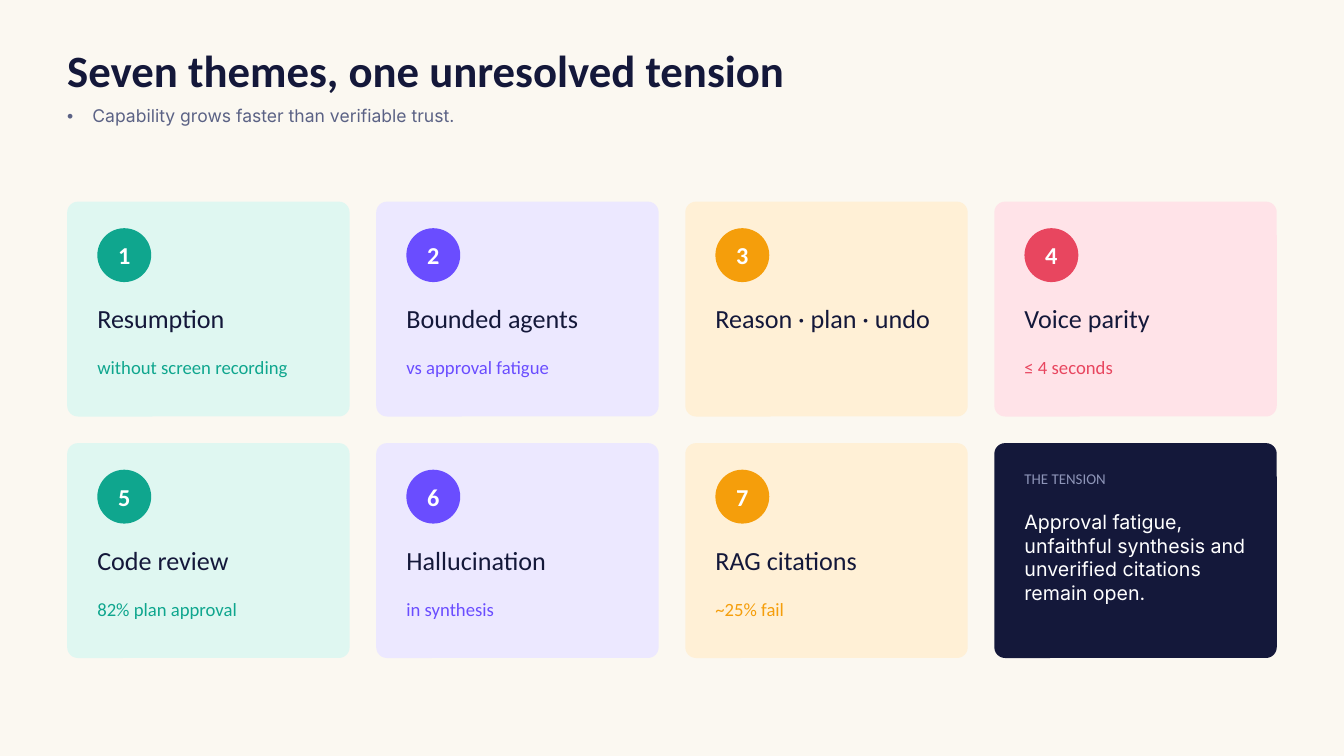
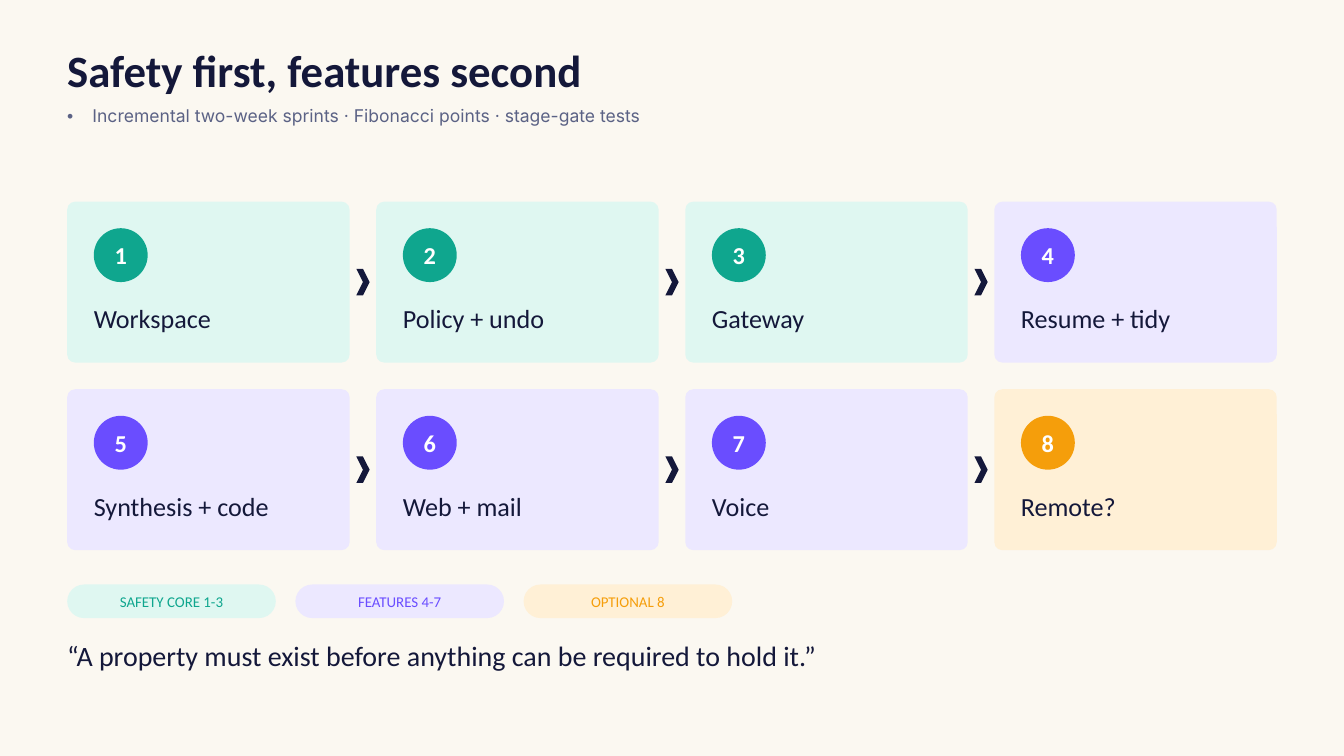
import pptx
import pptx.dml.color
import pptx.enum.shapes
import pptx.enum.text
import pptx.oxml.ns
import pptx.util
from lxml import etree

PX = 9525
SHAPE = pptx.enum.shapes.MSO_SHAPE
ALIGN = pptx.enum.text.PP_ALIGN
ANCHOR = pptx.enum.text.MSO_ANCHOR

PAPER, INK, MUTED, FAINT, WHITE = "FBF8F1", "14183A", "5B6285", "8E95B8", "FFFFFF"
# (strong colour, pale tint)
TEAL = ("0FA68E", "DFF7F1")
VIOLET = ("6A4DFF", "ECE8FF")
AMBER = ("F59E0B", "FFF0D6")
ROSE = ("E8465F", "FFE3E8")

LEFT, CONTENT_WIDTH = 96, 1728
GRID_TOP, GAP, COLUMNS = 288, 38, 4
CARD_WIDTH = (CONTENT_WIDTH - (COLUMNS - 1) * GAP) / COLUMNS
BADGE = 77

THEMES = [
    ("Resumption", "without screen recording", TEAL),
    ("Bounded agents", "vs approval fatigue", VIOLET),
    ("Reason · plan · undo", "", AMBER),
    ("Voice parity", "≤ 4 seconds", ROSE),
    ("Code review", "82% plan approval", TEAL),
    ("Hallucination", "in synthesis", VIOLET),
    ("RAG citations", "~25% fail", AMBER),
]
SPRINTS = [
    ("Workspace", TEAL), ("Policy + undo", TEAL), ("Gateway", TEAL),
    ("Resume + tidy", VIOLET), ("Synthesis + code", VIOLET),
    ("Web + mail", VIOLET), ("Voice", VIOLET), ("Remote?", AMBER),
]
STAGES = [("SAFETY CORE 1-3", TEAL), ("FEATURES 4-7", VIOLET), ("OPTIONAL 8", AMBER)]


def emu(*lengths):
    return [pptx.util.Emu(round(length * PX)) for length in lengths]


def rgb(hex_colour):
    return pptx.dml.color.RGBColor.from_string(hex_colour)


def write(shape, text, size, colour=INK, font="Calibri", bold=False,
          align=ALIGN.LEFT, anchor=ANCHOR.TOP, leading=None):
    frame = shape.text_frame
    frame.margin_left = frame.margin_right = frame.margin_top = frame.margin_bottom = 0
    frame.word_wrap = True
    frame.auto_size = pptx.enum.text.MSO_AUTO_SIZE.NONE
    frame.vertical_anchor = anchor
    frame.text = text
    paragraph = frame.paragraphs[0]
    paragraph.alignment = align
    paragraph.space_before = 0
    if leading:
        paragraph.line_spacing = pptx.util.Pt(leading)
    run_font = paragraph.runs[0].font
    run_font.name, run_font.size, run_font.bold = font, pptx.util.Pt(size), bold
    run_font.color.rgb = rgb(colour)


def add_text(slide, box, text, size, **style):
    write(slide.shapes.add_textbox(*emu(*box)), text, size, **style)


def add_block(slide, kind, box, fill, rounding=None):
    block = slide.shapes.add_shape(kind, *emu(*box))
    block.shadow.inherit = False
    block.fill.solid()
    block.fill.fore_color.rgb = rgb(fill)
    block.line.fill.background()
    if rounding is not None:
        block.adjustments[0] = rounding
    return block


def add_header_slide(deck, title, subtitle):
    slide = deck.slides.add_slide(deck.slide_layouts[1])
    heading, tagline = slide.placeholders
    for holder, top, height in ((heading, 70, 79), (tagline, 147, 33)):
        holder.left, holder.top, holder.width, holder.height = emu(LEFT, top, 1500, height)
    properties = tagline.text_frame.paragraphs[0]._p.get_or_add_pPr()
    properties.set("marL", "0")
    properties.set("indent", "0")
    etree.SubElement(properties, pptx.oxml.ns.qn("a:buNone"))
    write(heading, title, 48, bold=True, leading=50.4)
    write(tagline, subtitle, 18.8, colour=MUTED, font="Inter", leading=25.3)
    return slide


def card_box(index, height):
    row, column = divmod(index, COLUMNS)
    return (LEFT + column * (CARD_WIDTH + GAP), GRID_TOP + row * (height + GAP),
            CARD_WIDTH, height)


def add_card(slide, box, fill):
    add_block(slide, SHAPE.ROUNDED_RECTANGLE, box, fill, rounding=0.05)


def add_numbered_card(slide, box, number, label, palette, padding, detail=""):
    strong, pale = palette
    left, top, width, _ = box
    inner_left, inner_width = left + padding, width - 2 * padding
    add_card(slide, box, pale)
    badge = add_block(slide, SHAPE.OVAL, (inner_left, top + 38, BADGE, BADGE), strong)
    write(badge, str(number), 26, colour=WHITE, bold=True,
          align=ALIGN.CENTER, anchor=ANCHOR.MIDDLE)
    add_text(slide, (inner_left, top + 144, inner_width, 67), label, 28)
    if detail:
        add_text(slide, (inner_left, top + 221, inner_width, 58), detail, 20, colour=strong)


def add_tension_card(slide, box, padding):
    left, top, width, _ = box
    inner_left, inner_width = left + padding, width - 2 * padding
    add_card(slide, box, INK)
    add_text(slide, (inner_left, top + 38, inner_width, 38), "THE TENSION", 16, colour=FAINT)
    add_text(slide, (inner_left, top + 96, inner_width, 192),
             "Approval fatigue, unfaithful synthesis and unverified citations remain open.",
             21, colour=WHITE, font="Inter")


def add_next_arrow(slide, box):
    """Chevron in the gap to the right of a card."""
    left, top, width, height = box
    arrow_width, arrow_height = 19, 38
    add_block(slide, SHAPE.CHEVRON,
              (left + width + (GAP - arrow_width) / 2, top + (height - arrow_height) / 2,
               arrow_width, arrow_height), INK)


def add_stage_legend(slide, left, top):
    for index, (label, (strong, pale)) in enumerate(STAGES):
        pill = add_block(slide, SHAPE.ROUNDED_RECTANGLE,
                         (left + index * 326, top, 298, 48), pale, rounding=0.5)
        write(pill, label, 16, colour=strong, align=ALIGN.CENTER, anchor=ANCHOR.MIDDLE)


def add_themes_slide(deck):
    slide = add_header_slide(deck, "Seven themes, one unresolved tension",
                             "Capability grows faster than verifiable trust.")
    height, padding = 307, 43
    for index, (label, detail, palette) in enumerate(THEMES):
        add_numbered_card(slide, card_box(index, height), index + 1, label, palette,
                          padding, detail)
    add_tension_card(slide, card_box(len(THEMES), height), padding)


def add_sprints_slide(deck):
    slide = add_header_slide(
        deck, "Safety first, features second",
        "Incremental two-week sprints · Fibonacci points · stage-gate tests")
    for index, (label, palette) in enumerate(SPRINTS):
        box = card_box(index, 230)
        add_numbered_card(slide, box, index + 1, label, palette, padding=38)
        if (index + 1) % COLUMNS:
            add_next_arrow(slide, box)
    add_stage_legend(slide, LEFT, 835)
    add_text(slide, (LEFT, 912, CONTENT_WIDTH, 67),
             "“A property must exist before anything can be required to hold it.”", 30)


def main():
    deck = pptx.Presentation()
    deck.slide_width, deck.slide_height = emu(1920, 1080)
    background = deck.slide_master.background.fill
    background.solid()
    background.fore_color.rgb = rgb(PAPER)
    add_themes_slide(deck)
    add_sprints_slide(deck)
    deck.save("out.pptx")


if __name__ == "__main__":
    main()
